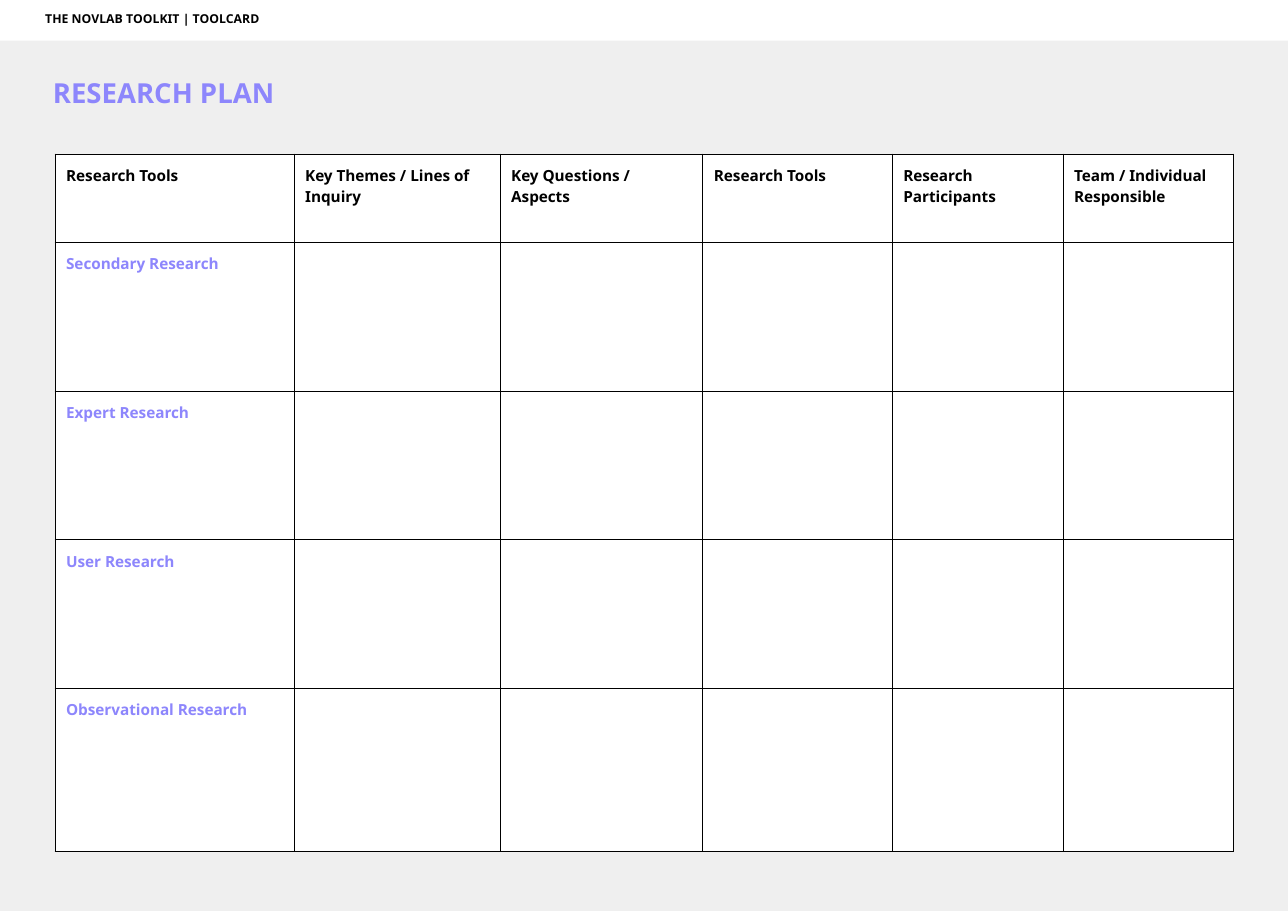
from lxml.etree import SubElement
from pptx import Presentation
from pptx.dml.color import RGBColor
from pptx.enum.shapes import MSO_SHAPE as Shape
from pptx.enum.text import MSO_ANCHOR as Anchor, MSO_AUTO_SIZE as AutoSize, PP_ALIGN as Align
from pptx.oxml.ns import qn
from pptx.util import Inches, Pt

BLACK, WHITE, GREY, VIOLET = "000000", "FFFFFF", "EFEFEF", "8D86FC"
FONT = "Noto Sans"
INSET = 0.1
COLUMN_WIDTHS = [2.17, 1.87, 1.84, 1.72, 1.55, 1.55]
ROW_HEIGHTS = [0.8, 1.35, 1.35, 1.35, 1.48]
HEADINGS = ["Research Tools", "Key Themes / Lines of Inquiry", "Key Questions / Aspects",
            "Research Tools", "Research Participants", "Team / Individual Responsible"]
RESEARCH_TYPES = ["Secondary Research", "Expert Research", "User Research",
                  "Observational Research"]


def paint(color_format, hex_color):
    color_format.rgb = RGBColor.from_string(hex_color)


def fill_with(owner, hex_color):
    owner.fill.solid()
    paint(owner.fill.fore_color, hex_color)


def write(holder, text, size=10, color=BLACK, left=INSET):
    """Write bold text at the top left of a shape or table cell."""
    # Shapes keep their margins on the text frame, cells on themselves
    box = holder.text_frame if hasattr(holder, "has_text_frame") else holder
    box.margin_left = Inches(left)
    box.margin_top = box.margin_right = box.margin_bottom = Inches(INSET)
    box.vertical_anchor = Anchor.TOP
    holder.text_frame.word_wrap = True
    paragraph = holder.text_frame.paragraphs[0]
    paragraph.alignment = Align.LEFT
    run = paragraph.add_run()
    run.text = text
    run.font.name, run.font.size, run.font.bold = FONT, Pt(size), True
    paint(run.font.color, color)


def add_header_band(slide, left, top, width, height):
    band = slide.shapes.add_shape(Shape.RECTANGLE, Inches(left), Inches(top),
                                  Inches(width), Inches(height))
    band.shadow.inherit = False
    fill_with(band, WHITE)
    band.line.fill.background()
    write(band, "THE NOVLAB TOOLKIT | TOOLCARD", size=8, left=0.41)


def place_title(slide, left, top, width, height):
    title = slide.shapes.title
    title.left, title.top = Inches(left), Inches(top)
    title.width, title.height = Inches(width), Inches(height)
    title.text_frame.auto_size = AutoSize.NONE
    write(title, "RESEARCH PLAN", size=18, color=VIOLET, left=0.48)
    title.text_frame.paragraphs[0].line_spacing = 1.0


def add_borders(cell, hex_color, weight):
    properties = cell._tc.get_or_add_tcPr()
    for side in ("a:lnL", "a:lnR", "a:lnT", "a:lnB"):
        border = SubElement(properties, qn(side), w=str(Pt(weight)))
        solid = SubElement(border, qn("a:solidFill"))
        SubElement(solid, qn("a:srgbClr"), val=hex_color)


def add_research_grid(slide, left, top):
    grid = slide.shapes.add_table(
        len(ROW_HEIGHTS), len(COLUMN_WIDTHS), Inches(left), Inches(top),
        Inches(sum(COLUMN_WIDTHS)), Inches(sum(ROW_HEIGHTS))).table
    grid.first_row = grid.horz_banding = False
    for column, width in zip(grid.columns, COLUMN_WIDTHS):
        column.width = Inches(width)
    for row, height in zip(grid.rows, ROW_HEIGHTS):
        row.height = Inches(height)
    for cell in grid.iter_cells():
        add_borders(cell, BLACK, 0.75)
        fill_with(cell, WHITE)

    # Column headings and row labels
    for column, heading in enumerate(HEADINGS):
        write(grid.cell(0, column), heading)
    for row, research_type in enumerate(RESEARCH_TYPES, start=1):
        write(grid.cell(row, 0), research_type, color=VIOLET)


def build_research_plan(deck):
    slide = deck.slides.add_slide(deck.slide_layouts[5])
    fill_with(slide.background, GREY)
    add_header_band(slide, 0, 0, 11.69, 0.37)
    place_title(slide, 0, 0.59, 6.64, 0.51)
    add_research_grid(slide, 0.5, 1.4)


def main():
    deck = Presentation()
    deck.slide_width, deck.slide_height = Inches(11.69), Inches(8.27)
    build_research_plan(deck)
    deck.save("out.pptx")


if __name__ == "__main__":
    main()
